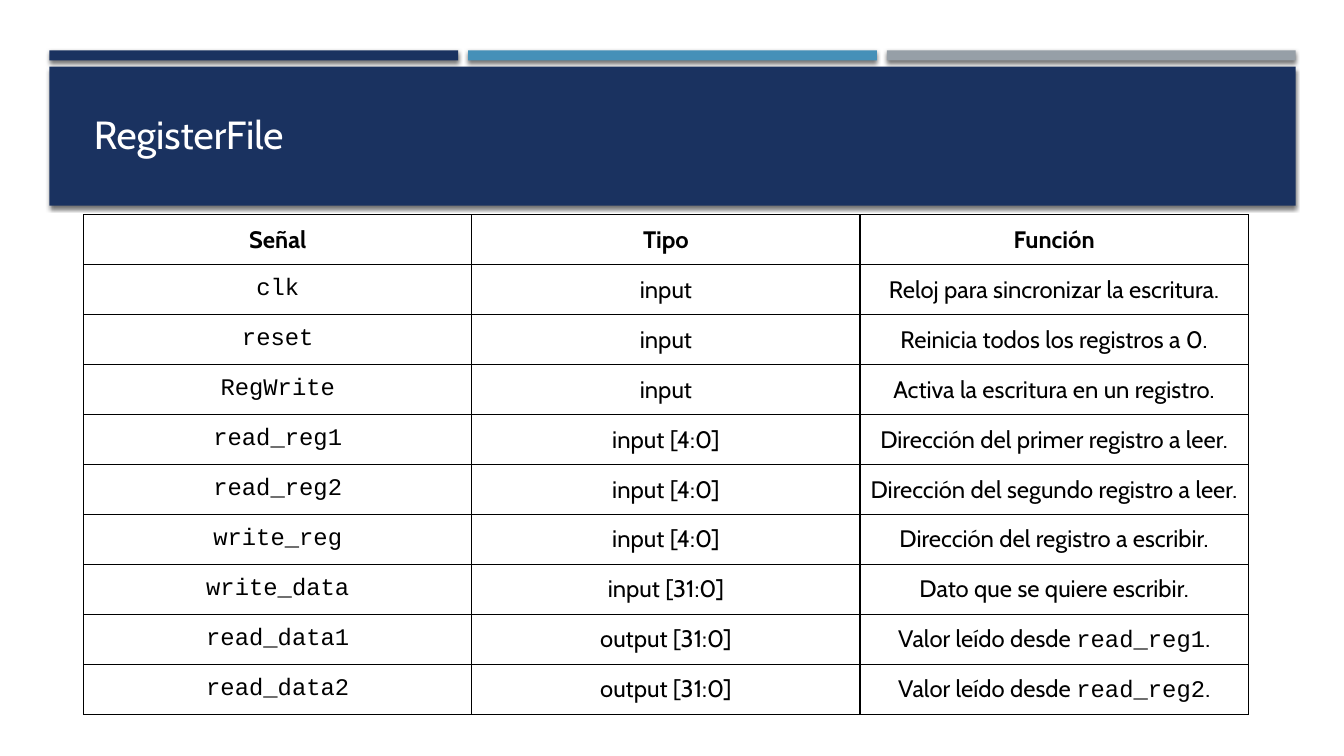
from lxml import etree
from pptx import Presentation
from pptx.dml.color import RGBColor as RGB
from pptx.enum.shapes import MSO_SHAPE as Shape
from pptx.enum.text import MSO_ANCHOR as Anchor, PP_ALIGN as Align
from pptx.oxml import parse_xml
from pptx.oxml.ns import nsdecls, qn
from pptx.util import Inches, Pt

COLORS = {"navy": "1A3260", "blue": "4590B8", "gray": "969FA7",
          "white": "FFFFFF", "black": "000000"}
SANS, MONO = "Cabin", "Courier New"

HEAD = ["Señal", "Tipo", "Función"]
# Text between backticks is set as code
SIGNALS = [
    ("`clk`", "input", "Reloj para sincronizar la escritura."),
    ("`reset`", "input", "Reinicia todos los registros a 0."),
    ("`RegWrite`", "input", "Activa la escritura en un registro."),
    ("`read_reg1`", "input [4:0]", "Dirección del primer registro a leer."),
    ("`read_reg2`", "input [4:0]", "Dirección del segundo registro a leer."),
    ("`write_reg`", "input [4:0]", "Dirección del registro a escribir."),
    ("`write_data`", "input [31:0]", "Dato que se quiere escribir."),
    ("`read_data1`", "output [31:0]", "Valor leído desde `read_reg1`."),
    ("`read_data2`", "output [31:0]", "Valor leído desde `read_reg2`."),
]


def add_run(para, text, size, color, font=SANS, bold=False):
    run = para.add_run()
    run.text = text
    run.font.size, run.font.name, run.font.bold = Pt(size), font, bold
    run.font.color.rgb = RGB.from_string(COLORS[color])


def add_bar(slide, box, color):
    bar = slide.shapes.add_shape(Shape.RECTANGLE, *map(Inches, box))
    bar.fill.solid()
    bar.fill.fore_color.rgb = RGB.from_string(COLORS[color])
    bar.line.fill.background()
    # Soft shadow straight below
    bar.shadow.inherit = False
    effects = bar.element.spPr.find(qn("a:effectLst"))
    effects.append(parse_xml(
        f'<a:outerShdw {nsdecls("a")} blurRad="{Pt(3)}" dist="{Pt(2)}" '
        f'dir="5400000" algn="ctr" rotWithShape="0">'
        f'<a:srgbClr val="{COLORS["black"]}"><a:alpha val="55000"/>'
        f'</a:srgbClr></a:outerShdw>'))


def add_banner(slide, box, text):
    left, top, width, height = box
    # Three strips above the band
    gap, thin = 0.1, 0.1
    strip = (width - 2 * gap) / 3
    for i, color in enumerate(["navy", "blue", "gray"]):
        add_bar(slide, (left + i * (strip + gap), top, strip, thin), color)
    band = top + 0.16
    add_bar(slide, (left, band, width, height - 0.16), "navy")

    # Title in front of the band
    title = slide.shapes.title
    title.element.getparent().append(title.element)
    title.left, title.top = Inches(left + 0.34), Inches(band + 0.39)
    title.width, title.height = Inches(11.57), Inches(0.56)
    title.text_frame.vertical_anchor = Anchor.MIDDLE
    para = title.text_frame.paragraphs[0]
    para.alignment = Align.LEFT
    add_run(para, text, 28, "white")


def add_edges(cell):
    props = cell._tc.get_or_add_tcPr()
    for i, side in enumerate(["lnL", "lnR", "lnT", "lnB"]):
        line = etree.Element(qn(f"a:{side}"), w=str(Pt(0.96)))
        fill = etree.SubElement(line, qn("a:solidFill"))
        etree.SubElement(fill, qn("a:srgbClr"), val=COLORS["black"])
        props.insert(i, line)


def add_grid(slide, box, rows):
    left, top, width, height = map(Inches, box)
    table = slide.shapes.add_table(len(rows), len(HEAD), left, top,
                                   width, height).table
    for r, row in enumerate(rows):
        for c, text in enumerate(row):
            cell = table.cell(r, c)
            cell.fill.background()
            cell.vertical_anchor = Anchor.MIDDLE
            add_edges(cell)
            para = cell.text_frame.paragraphs[0]
            para.alignment = Align.CENTER
            for i, part in enumerate(text.split("`")):
                if part:
                    add_run(para, part, 17, "black",
                            MONO if i % 2 else SANS, r == 0)


def main():
    deck = Presentation()
    deck.slide_width, deck.slide_height = Inches(13.33), Inches(7.5)
    slide = deck.slides.add_slide(deck.slide_layouts[5])
    add_banner(slide, (0.49, 0.5, 12.36, 1.54), "RegisterFile")
    add_grid(slide, (0.83, 2.13, 11.55, 4.96), [HEAD, *SIGNALS])
    deck.save("out.pptx")


if __name__ == "__main__":
    main()
